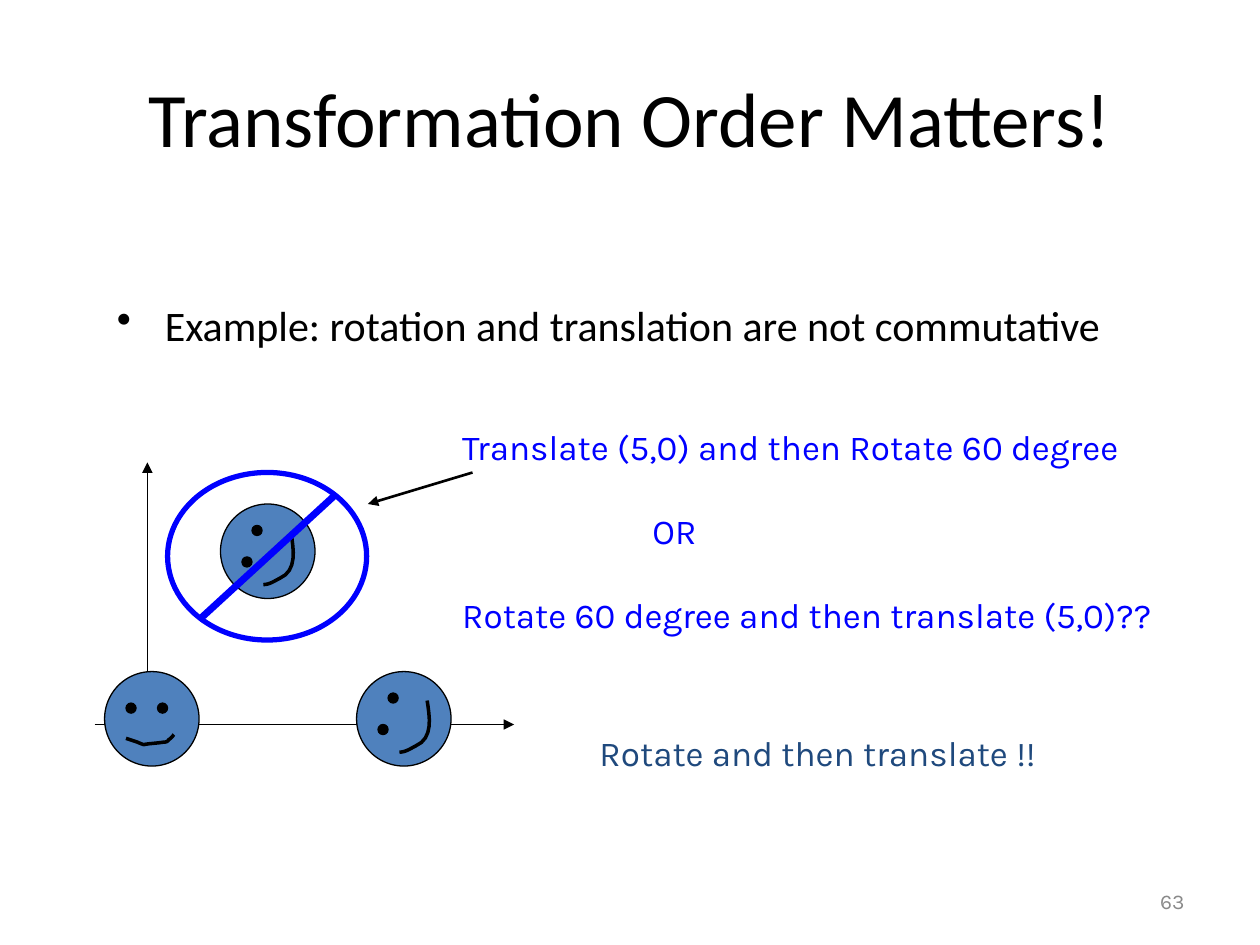
from pptx import Presentation
from pptx import util as u
from pptx.dml.color import RGBColor
from pptx.enum import shapes, text
from pptx.oxml import ns, xmlchemy

COLORS = {"ink": "000000", "face": "4F81BD", "accent": "0000FF",
          "answer": "1F497D", "muted": "898989"}
FACE_SIZE, EYE_SIZE, CURVE_STEPS = 0.75, 0.08, 8
SMILE = {
    "eyes": [(0.17, 0.25), (0.42, 0.25)],
    "start": (0.17, 0.53),
    "curves": [
        [(0.20, 0.54), (0.23, 0.55), (0.26, 0.56)],
        [(0.28, 0.57), (0.31, 0.58), (0.31, 0.58)],
        [(0.36, 0.57), (0.41, 0.57), (0.47, 0.56)],
        [(0.48, 0.56), (0.50, 0.56), (0.51, 0.54)],
        [(0.53, 0.53), (0.55, 0.50), (0.55, 0.50)],
    ],
}
ROTATED_SMILE = {
    "eyes": [(0.17, 0.42), (0.25, 0.17)],
    "start": (0.56, 0.23),
    "curves": [
        [(0.58, 0.36), (0.61, 0.53), (0.47, 0.59)],
        [(0.43, 0.61), (0.39, 0.64), (0.34, 0.64)],
    ],
}


def rgb(name):
    return RGBColor.from_string(COLORS[name])


def style_font(paragraph, size, color, face):
    paragraph.font.size = u.Pt(size)
    paragraph.font.name = face
    paragraph.font.color.rgb = rgb(color)


def style_line(line, color, width):
    line.color.rgb = rgb(color)
    line.width = u.Pt(width)


def add_label(slide, box, lines, size, color, face="Karla", gap=0):
    label = slide.shapes.add_textbox(*map(u.Inches, box))
    frame = label.text_frame
    frame.word_wrap = True
    for index, line in enumerate(lines):
        paragraph = frame.paragraphs[0] if index == 0 else frame.add_paragraph()
        paragraph.text = line
        if index:
            paragraph.space_before = u.Pt(gap)
        style_font(paragraph, size, color, face)
    return frame


def add_bullet(paragraph, indent):
    properties = paragraph._p.get_or_add_pPr()
    properties.set("marL", str(u.Inches(indent)))
    properties.set("indent", str(-u.Inches(indent)))
    bullet = xmlchemy.OxmlElement("a:buChar")
    bullet.set("char", "•")
    properties.append(bullet)


def add_line(parent, start, end, color="ink", width=0.75, arrow=True):
    line = parent.add_connector(shapes.MSO_CONNECTOR.STRAIGHT,
                                *map(u.Inches, start + end))
    style_line(line.line, color, width)
    if arrow:
        head = xmlchemy.OxmlElement("a:tailEnd")
        head.set("type", "triangle")
        line.line._get_or_add_ln().append(head)
    line._element.find(ns.qn("p:spPr")).append(xmlchemy.OxmlElement("a:effectLst"))


def add_ellipse(parent, box, fill=None, color="ink", width=0.75):
    ellipse = parent.add_shape(shapes.MSO_SHAPE.OVAL, *map(u.Inches, box))
    ellipse.shadow.inherit = False
    if fill:
        ellipse.fill.solid()
        ellipse.fill.fore_color.rgb = rgb(fill)
    else:
        ellipse.fill.background()
    style_line(ellipse.line, color, width)


def curve_points(start, curves):
    points = [start]
    for first, second, end in curves:
        begin = points[-1]
        for step in range(1, CURVE_STEPS + 1):
            t = step / CURVE_STEPS
            s = 1 - t
            points.append(tuple(
                s**3 * a + 3 * s * s * t * b + 3 * s * t * t * c + t**3 * d
                for a, b, c, d in zip(begin, first, second, end)))
    return points


def add_face(parent, left, top, features):
    add_ellipse(parent, (left, top, FACE_SIZE, FACE_SIZE), "face")
    for x, y in features["eyes"]:
        add_ellipse(parent, (left + x, top + y, EYE_SIZE, EYE_SIZE), "ink")
    start, *rest = [(u.Inches(left + x), u.Inches(top + y)) for x, y
                    in curve_points(features["start"], features["curves"])]
    builder = parent.build_freeform(*start)
    builder.add_line_segments(rest, close=False)
    mouth = builder.convert_to_shape()
    mouth.shadow.inherit = False
    mouth.fill.background()
    style_line(mouth.line, "ink", 2)


def add_title(slide, wording):
    title = slide.shapes.title
    title.left, title.top, title.width, title.height = map(
        u.Inches, (0.5, 0.3, 9, 1.25))
    frame = title.text_frame
    frame.text = wording
    frame.vertical_anchor = text.MSO_ANCHOR.MIDDLE
    frame.paragraphs[0].alignment = text.PP_ALIGN.CENTER
    style_font(frame.paragraphs[0], 44, "ink", "Calibri")


def add_wording(slide):
    number = add_label(slide, (7.17, 6.95, 2.33, 0.4), ["63"], 12, "muted")
    number.vertical_anchor = text.MSO_ANCHOR.MIDDLE
    number.paragraphs[0].alignment = text.PP_ALIGN.RIGHT

    example = add_label(slide, (0.83, 2.33, 8.5, 4.5), [], 24, "ink")
    statement = example.paragraphs[0]
    statement.text = "Example: rotation and translation are not commutative"
    add_bullet(statement, 0.38)
    style_font(statement, 24, "ink", "Calibri")

    choices = add_label(
        slide, (3.57, 3.33, 5.8, 1.77),
        ["Translate (5,0) and then Rotate 60 degree", "OR",
         "Rotate 60 degree and then translate (5,0)??"],
        20, "accent", gap=24)
    choices.paragraphs[1]._p.get_or_add_pPr().set("marL", str(u.Inches(1.51)))
    add_label(slide, (4.66, 5.76, 3.83, 0.44),
              ["Rotate and then translate !!"], 20, "answer")


def add_diagram(slide):
    add_line(slide.shapes, (0.75, 5.75), (4.08, 5.75))
    add_line(slide.shapes, (1.17, 6.08), (1.17, 3.67))
    add_face(slide.shapes, 0.83, 5.33, SMILE)

    translated = slide.shapes.add_group_shape().shapes
    add_face(translated, 2.83, 5.33, ROTATED_SMILE)

    rejected = slide.shapes.add_group_shape().shapes
    add_face(rejected, 1.75, 4, ROTATED_SMILE)
    add_line(rejected, (2.67, 3.92), (1.58, 4.92), "accent", 4, arrow=False)
    add_ellipse(rejected, (1.33, 3.75, 1.58, 1.33), color="accent", width=3)
    add_line(rejected, (3.75, 3.75), (2.92, 4), width=1.5)


def main():
    deck = Presentation()
    deck.slide_width, deck.slide_height = u.Inches(10), u.Inches(7.5)
    slide = deck.slides.add_slide(deck.slide_layouts[5])
    add_title(slide, "Transformation Order Matters!")
    add_wording(slide)
    add_diagram(slide)
    deck.save("out.pptx")


if __name__ == "__main__":
    main()
